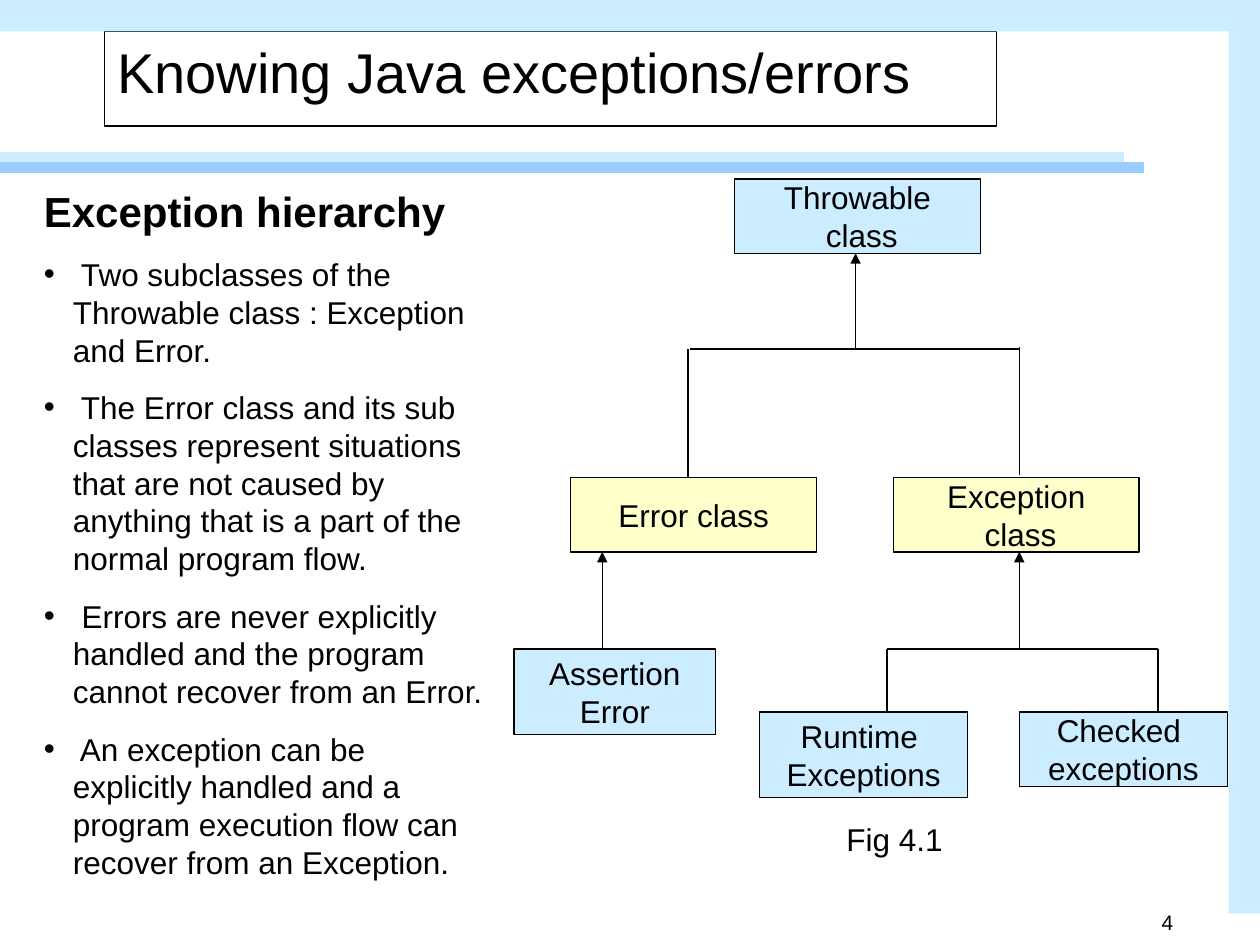
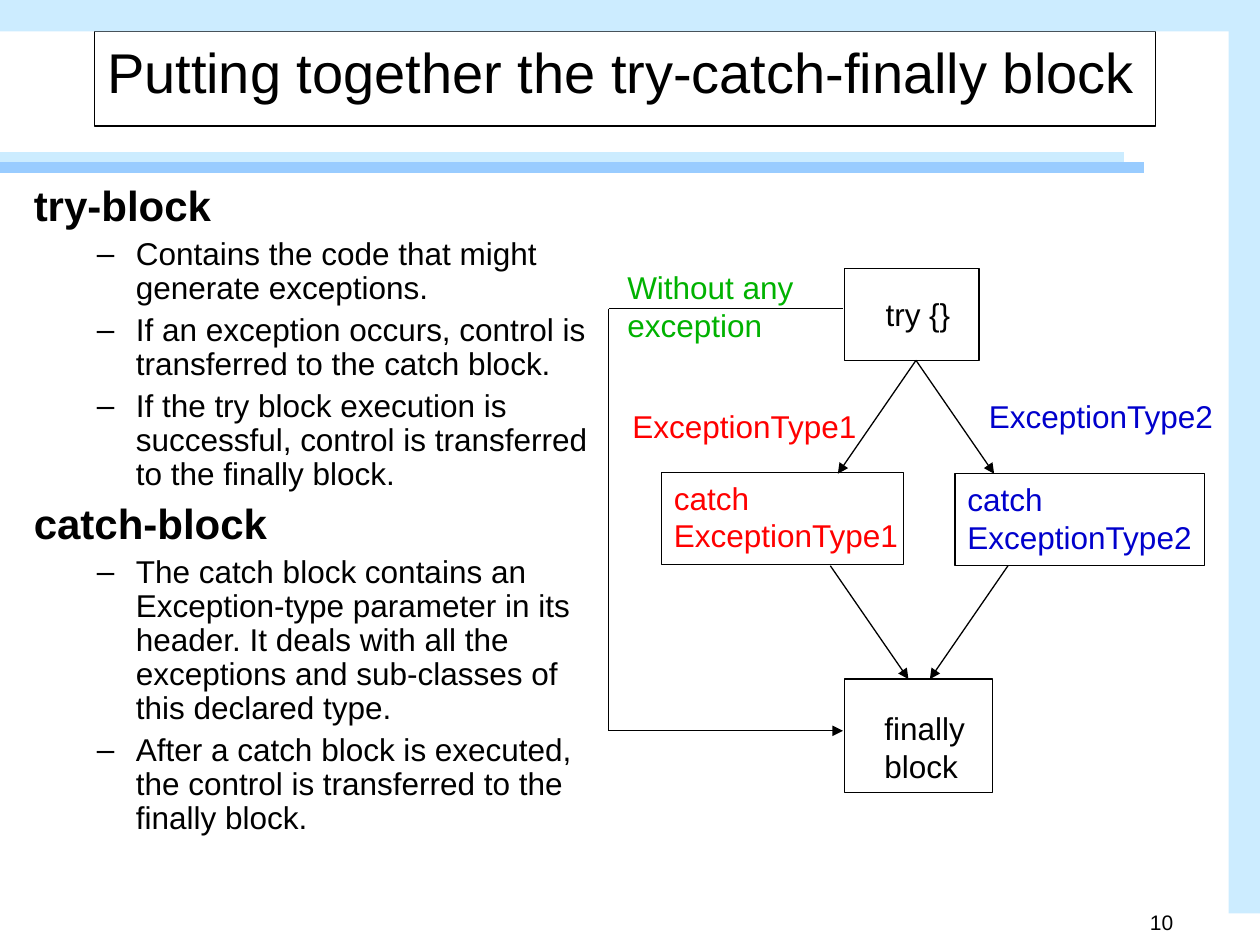
"""Build two Java slides: the exception hierarchy and the try-catch-finally flow."""
from lxml import etree
from pptx import Presentation
from pptx.dml.color import RGBColor
from pptx.enum.shapes import MSO_CONNECTOR as Conn, MSO_SHAPE as Form
from pptx.enum.text import MSO_ANCHOR as Anchor, MSO_AUTO_SIZE as Auto, PP_ALIGN as Align
from pptx.oxml.ns import qn
from pptx.util import Inches, Pt

BLACK, WHITE, RED, BLUE, GREEN = "000000", "FFFFFF", "FF0000", "0000CC", "00B200"
PALE, SKY, CREAM = "CCECFF", "99CCFF", "FFFFCC"
PLAIN = {"para": {"alignment": Align.LEFT}, "font": {"size": Pt(18)}}
MID = {"para": {"alignment": Align.CENTER}, "font": {"size": Pt(18)}}
PAGE = {"para": {"alignment": Align.RIGHT}, "font": {"size": Pt(12)}}
TITLE = {"para": {"alignment": Align.LEFT, "space_before": Pt(2), "space_after": Pt(2)},
         "font": {"size": Pt(32)}}
TOPIC = {"para": {"space_before": Pt(15)}, "font": {"size": Pt(24), "bold": True}}
DOT = {"para": {"space_before": Pt(11.2)}, "font": {"size": Pt(18)}, "mark": ("•", 0.23, 0.23)}
HEAD = {"para": {"space_before": Pt(6), "line_spacing": 0.9},
        "font": {"size": Pt(24), "bold": True}}
DASH = {"para": {"space_before": Pt(4.5), "line_spacing": 0.9},
        "font": {"size": Pt(18)}, "mark": ("–", 0.81, 0.31)}


def box(slide, at, rows=(), fill=None, line=None, ink=BLACK, anchor=Anchor.TOP,
        wrap=False, shape=None):
    """Place a box or text box and write its (text, style) rows."""
    spot = [Inches(n) for n in at]
    if shape is not None:
        shape.left, shape.top, shape.width, shape.height = spot
    elif fill or line:
        shape = slide.shapes.add_shape(Form.RECTANGLE, *spot)
        shape.shadow.inherit = False
    else:
        shape = slide.shapes.add_textbox(*spot)
    if fill:
        shape.fill.solid()
        shape.fill.fore_color.rgb = RGBColor.from_string(fill)
    else:
        shape.fill.background()
    if line:
        shape.line.color.rgb = RGBColor.from_string(line)
        shape.line.width = Pt(0.75)
    else:
        shape.line.fill.background()
    frame = shape.text_frame
    frame.auto_size = Auto.NONE
    frame.word_wrap = wrap
    frame.vertical_anchor = anchor
    for i, (text, style) in enumerate(rows):
        para = frame.add_paragraph() if i else frame.paragraphs[0]
        run = para.add_run()
        run.text = text
        run.font.name = "Arial"
        run.font.color.rgb = RGBColor.from_string(ink)
        for part, goal in (("para", para), ("font", run.font)):
            for name, value in style[part].items():
                setattr(goal, name, value)
        if "mark" in style:
            char, left, hang = style["mark"]
            props = para._p.get_or_add_pPr()
            props.set("marL", str(Inches(left)))
            props.set("indent", str(-Inches(hang)))
            etree.SubElement(props, qn("a:buFont")).set("typeface", "Arial")
            etree.SubElement(props, qn("a:buChar")).set("char", char)


def link(slide, ends, arrow=False, ink=BLACK, width=0.75):
    """Draw a straight line, with an arrowhead at its end if asked."""
    wire = slide.shapes.add_connector(Conn.STRAIGHT, *[Inches(n) for n in ends])
    wire.line.color.rgb = RGBColor.from_string(ink)
    wire.line.width = Pt(width)
    if arrow:
        etree.SubElement(wire.line._get_or_add_ln(), qn("a:tailEnd")).set("type", "triangle")
    etree.SubElement(wire._element.spPr, qn("a:effectLst"))


deck = Presentation()
deck.slide_width, deck.slide_height = Inches(10), Inches(7.5)
slides = []
for title, left, width, page in (
        ("Knowing Java exceptions/errors", 0.83, 7.08, "4"),
        ("Putting together the try-catch-finally block", 0.75, 8.42, "10")):
    slide = deck.slides.add_slide(deck.slide_layouts[5])
    box(slide, (0, 0, 10, 0.25), fill=PALE)
    box(slide, (9.75, 0, 0.25, 7.25), fill=PALE)
    link(slide, (0, 1.25, 8.92, 1.25), ink=PALE, width=6)
    link(slide, (0, 1.33, 9.08, 1.33), ink=SKY, width=6)
    box(slide, (7.33, 7.17, 2.08, 0.25), [(page, PAGE)], wrap=True)
    box(slide, (left, 0.25, width, 0.75), [(title, TITLE)], WHITE, BLACK,
        wrap=True, shape=slide.shapes.title)
    slides.append(slide)
tree, flow = slides

for at, fill, names in (
        ((5.83, 1.42, 1.95, 0.59), PALE, ("Throwable", " class")),
        ((4.53, 3.79, 1.95, 0.59), CREAM, ("Error class",)),
        ((7.09, 3.79, 1.95, 0.59), CREAM, ("Exception", " class")),
        ((4.08, 5.15, 1.6, 0.68), PALE, ("Assertion", "Error")),
        ((6.03, 5.65, 1.65, 0.68), PALE, ("Runtime ", "Exceptions")),
        ((8.09, 5.65, 1.65, 0.59), PALE, ("Checked ", "exceptions"))):
    box(tree, at, [(name, MID) for name in names], fill, BLACK, anchor=Anchor.MIDDLE)
for ends in ((6.79, 2.77, 6.79, 2.01), (8.09, 5.15, 8.09, 4.38), (4.78, 5.15, 4.78, 4.38)):
    link(tree, ends, arrow=True)
for ends in ((5.48, 2.77, 8.09, 2.77), (5.46, 3.79, 5.46, 2.77), (8.09, 3.77, 8.09, 2.75),
             (7.04, 5.15, 9.19, 5.15), (7.04, 5.65, 7.04, 5.15), (9.19, 5.65, 9.19, 5.15)):
    link(tree, ends)
box(tree, (0.25, 1.42, 3.75, 5.63), [
    ("Exception hierarchy", TOPIC),
    (" Two subclasses of the Throwable class : Exception and Error.", DOT),
    (" The Error class and its sub classes represent situations that are not caused by "
     "anything that is a part of the normal program flow.", DOT),
    (" Errors are never explicitly handled and the program cannot recover from an Error.", DOT),
    (" An exception can be explicitly handled and a program execution flow can recover "
     "from an Exception.", DOT)], wrap=True)
box(tree, (6.62, 6.46, 0.96, 0.4), [("Fig 4.1", PLAIN)])

box(flow, (0.17, 1.42, 4.67, 5.5), [
    ("try-block", HEAD),
    ("Contains the code that might generate exceptions.", DASH),
    ("If an exception occurs, control is transferred to the catch block.", DASH),
    ("If the try block execution is successful, control is transferred to the finally block.",
     DASH),
    ("catch-block", HEAD),
    ("The catch block contains an Exception-type parameter in its header. It deals with all "
     "the exceptions and sub-classes of this declared type.", DASH),
    ("After a catch block is executed, the control is transferred to the finally block.",
     DASH)], wrap=True)
for at in ((6.7, 2.13, 1.07, 0.73), (5.25, 3.75, 1.92, 0.73),
           (7.58, 3.76, 1.98, 0.73), (6.7, 5.39, 1.18, 0.9)):
    box(flow, at, line=BLACK)
for at, ink, words in (
        ((6.93, 2.29, 0.71, 0.4), BLACK, ("try {}",)),
        ((4.92, 3.18, 1.99, 0.4), RED, ("ExceptionType1",)),
        ((7.75, 3.1, 1.99, 0.4), BLUE, ("ExceptionType2",)),
        ((5.25, 3.75, 1.99, 0.7), RED, ("catch", "ExceptionType1")),
        ((7.58, 3.76, 1.99, 0.7), BLUE, ("catch", "ExceptionType2")),
        ((6.92, 5.58, 0.91, 0.7), BLACK, ("finally", "block")),
        ((4.88, 2.08, 1.59, 0.7), GREEN, ("Without any", "exception"))):
    box(flow, at, [(word, PLAIN) for word in words], ink=ink)
for x, y, step in ((7.27, 2.86, -0.62), (7.27, 2.86, 0.62), (8, 4.49, -0.62), (6.59, 4.49, 0.62)):
    link(flow, (x, y, x + step, y + 0.9), arrow=True)
link(flow, (6.69, 2.45, 4.83, 2.45))
link(flow, (4.83, 2.45, 4.83, 5.8))
link(flow, (4.83, 5.8, 6.69, 5.8), arrow=True)

deck.save("out.pptx")
